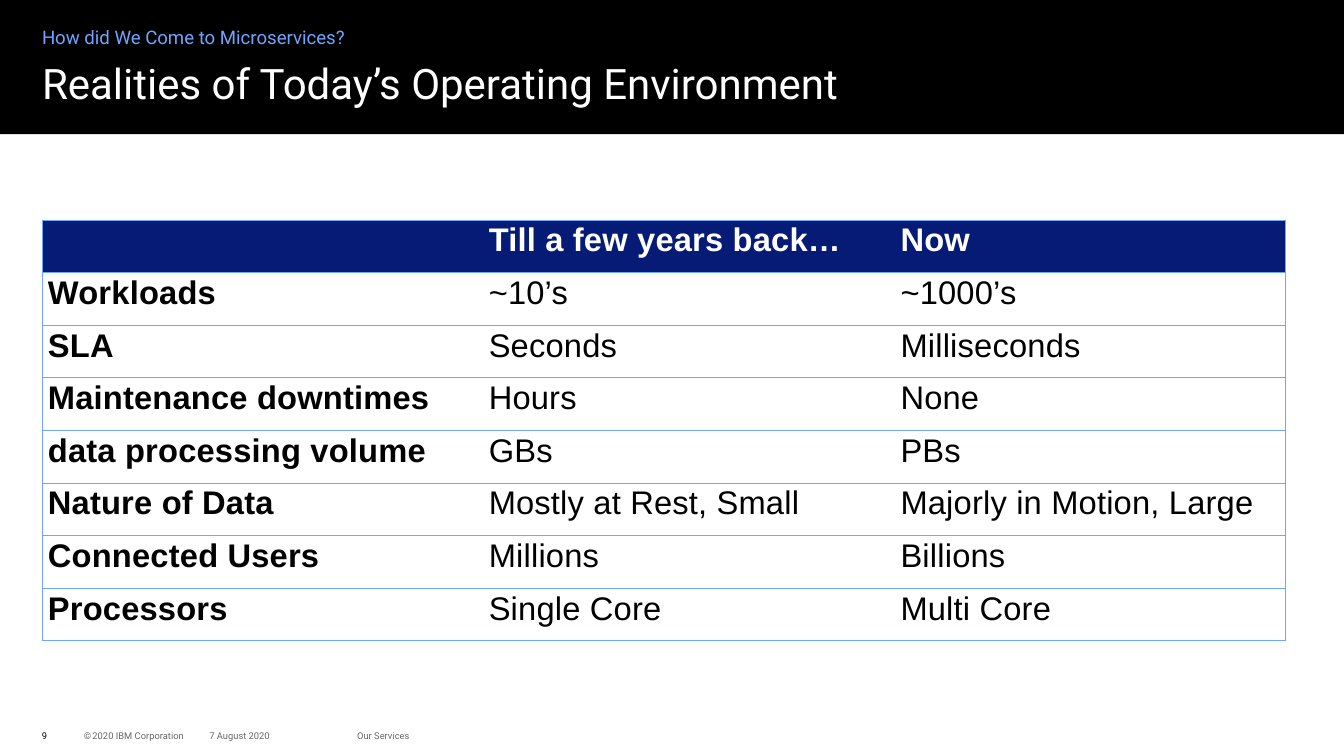
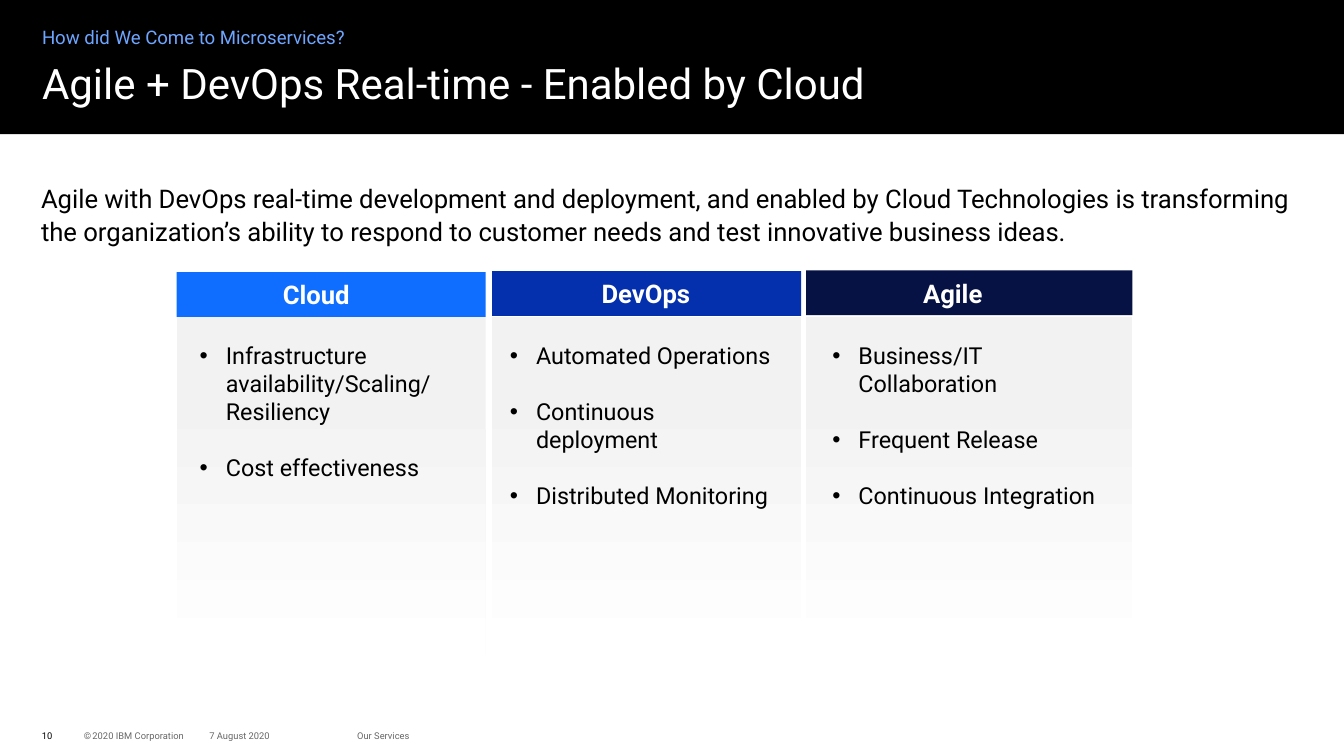
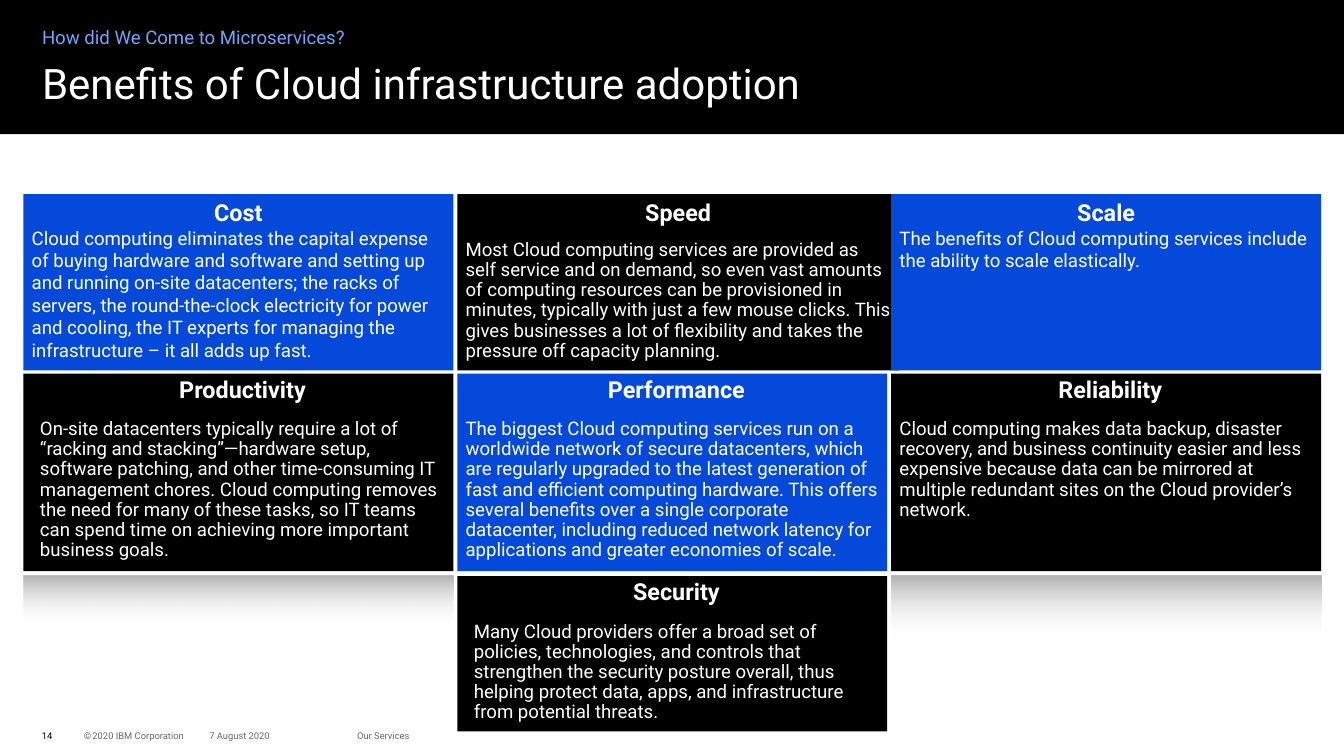
"""Build three slides on microservices, cloud and its benefits."""
from dataclasses import dataclass

from lxml.etree import SubElement
from pptx import Presentation
from pptx.dml.color import RGBColor
from pptx.enum.shapes import MSO_SHAPE
from pptx.enum.text import MSO_ANCHOR, MSO_AUTO_SIZE, PP_ALIGN
from pptx.oxml import parse_xml
from pptx.oxml.ns import nsdecls, qn
from pptx.shapes.autoshape import Shape
from pptx.slide import Slide
from pptx.text.text import TextFrame, _Paragraph
from pptx.util import Cm, Pt

COLORS = {
    "black": "000000",
    "white": "FFFFFF",
    "sky": "6EA6FF",
    "navy": "051B75",
    "blue": "0549DA",
    "cloud": "0F6DFF",
    "devops": "0530AD",
    "agile": "051243",
    "panel": "F2F2F2",
    "shade": "808080",
}
KICKER = "How did We Come to Microservices?"
INSETS = (0.25, 0.13, 0.25, 0.13)
NO_INSETS = (0, 0, 0, 0)


@dataclass(frozen=True)
class Box:
    """Position and size in centimetres."""

    left: float
    top: float
    width: float
    height: float

    @property
    def lengths(self) -> tuple[Cm, Cm, Cm, Cm]:
        return Cm(self.left), Cm(self.top), Cm(self.width), Cm(self.height)


@dataclass(frozen=True)
class Pillar:
    """Headed column with a bulleted panel."""

    title: str
    fill: str
    left: float
    top: float
    width: float
    title_shift: float
    left_inset: float
    right_inset: float
    items: tuple[str, ...]


@dataclass(frozen=True)
class Tile:
    """Benefit tile in the grid."""

    column: int
    row: int
    title: str
    fill: str
    text: str
    tight: bool = True
    margin: float = 0
    width: float = 13


@dataclass(frozen=True)
class Stop:
    """Gradient stop."""

    position: float
    color: str
    opacity: int = 100


TABLE_ROWS = (
    ("", "Till a few years back…", "Now"),
    ("Workloads", "~10’s", "~1000’s"),
    ("SLA", "Seconds", "Milliseconds"),
    ("Maintenance downtimes", "Hours", "None"),
    ("data processing volume", "GBs", "PBs"),
    ("Nature of Data", "Mostly at Rest, Small", "Majorly in Motion, Large"),
    ("Connected Users", "Millions", "Billions"),
    ("Processors", "Single Core", "Multi Core"),
)
COLUMN_WIDTHS = (13.33, 12.45, 11.81)
ROW_HEIGHT = 1.59

INTRODUCTION = (
    "Agile with DevOps real-time development and deployment, and enabled by Cloud "
    "Technologies is transforming the organization’s ability to respond to customer "
    "needs and test innovative business ideas."
)
PILLARS = (
    Pillar("Cloud", "cloud", 5.34, 8.23, 9.35, 0.9, 0.7, 1.6,
           ("Infrastructure availability/Scaling/Resiliency", "Cost effectiveness")),
    Pillar("DevOps", "devops", 14.88, 8.2, 9.35, 0.05, 0.54, 0.56,
           ("Automated Operations", "Continuous deployment", "Distributed Monitoring")),
    Pillar("Agile", "agile", 24.38, 8.18, 9.86, 1, 0.79, 0.81,
           ("Business/IT Collaboration", "Frequent Release", "Continuous Integration")),
)
PANEL_FADE = (Stop(0.22, "panel"), Stop(1, "white"))

TILES = (
    Tile(0, 0, "Cost", "blue",
         "Cloud computing eliminates the capital expense of buying hardware and software "
         "and setting up and running on-site datacenters; the racks of servers, the "
         "round-the-clock electricity for power and cooling, the IT experts for managing "
         "the infrastructure – it all adds up fast.", tight=False),
    Tile(1, 0, "Speed", "black",
         "Most Cloud computing services are provided as self service and on demand, so "
         "even vast amounts of computing resources can be provisioned in minutes, "
         "typically with just a few mouse clicks. This gives businesses a lot of "
         "flexibility and takes the pressure off capacity planning.", width=13.36),
    Tile(2, 0, "Scale", "blue",
         "The benefits of Cloud computing services include the ability to scale "
         "elastically.", tight=False),
    Tile(0, 1, "Productivity", "black",
         "On-site datacenters typically require a lot of “racking and stacking”—hardware "
         "setup, software patching, and other time-consuming IT management chores. Cloud "
         "computing removes the need for many of these tasks, so IT teams can spend time "
         "on achieving more important business goals.", margin=0.25),
    Tile(1, 1, "Performance", "blue",
         "The biggest Cloud computing services run on a worldwide network of secure "
         "datacenters, which are regularly upgraded to the latest generation of fast and "
         "efficient computing hardware. This offers several benefits over a single "
         "corporate datacenter, including reduced network latency for applications and "
         "greater economies of scale."),
    Tile(2, 1, "Reliability", "black",
         "Cloud computing makes data backup, disaster recovery, and business continuity "
         "easier and less expensive because data can be mirrored at multiple redundant "
         "sites on the Cloud provider’s network."),
    Tile(1, 2, "Security", "black",
         "Many Cloud providers offer a broad set of policies, technologies, and controls "
         "that strengthen the security posture overall, thus helping protect data, apps, "
         "and infrastructure from potential threats.", margin=0.25),
)
TILE_LEFT = 0.71
TILE_PITCH = 13.12
TILE_TOPS = (5.87, 11.3, 17.42)
TILE_HEIGHTS = (5.33, 5.97, 4.7)
TILE_FADE = (Stop(0, "shade", 61), Stop(0.55, "white", 0))
FADE_HEIGHTS = {0: 2.82, 2: 3.48}


def rgb(name: str) -> RGBColor:
    return RGBColor.from_string(COLORS[name])


def set_opacity(color_element, percent: int) -> None:
    if percent < 100:
        SubElement(color_element, qn("a:alpha")).set("val", str(percent * 1000))


def write(paragraph: _Paragraph, text: str, *, size: float, color: str = "black",
          font: str = "Roboto", bold: bool = False, opacity: int = 100,
          spacing: int = 0, alignment: PP_ALIGN = PP_ALIGN.LEFT,
          line_spacing: float = 1, before: float = 0, after: float = 0,
          margin: float = 0, bullet: str = "") -> None:
    properties = paragraph._p.get_or_add_pPr()
    properties.set("marL", str(Cm(margin)))
    properties.set("indent", str(-Cm(margin) if bullet else 0))
    if properties.find(qn("a:buNone")) is None:
        if bullet:
            SubElement(properties, qn("a:buFont")).set("typeface", "Arial")
            SubElement(properties, qn("a:buChar")).set("char", bullet)
        else:
            SubElement(properties, qn("a:buNone"))
    paragraph.alignment = alignment
    paragraph.line_spacing = line_spacing
    paragraph.space_before = Pt(before)
    paragraph.space_after = Pt(after)
    run = paragraph.add_run()
    run.text = text
    run.font.name = font
    run.font.size = Pt(size)
    run.font.bold = bold
    run.font.color.rgb = rgb(color)
    set_opacity(run._r.xpath(".//a:srgbClr")[0], opacity)
    if spacing:
        run._r.get_or_add_rPr().set("spc", str(spacing))


def prepare_frame(frame: TextFrame, insets: tuple[float, ...],
                  anchor: MSO_ANCHOR = MSO_ANCHOR.TOP) -> _Paragraph:
    frame.word_wrap = True
    frame.auto_size = MSO_AUTO_SIZE.NONE
    frame.vertical_anchor = anchor
    (frame.margin_left, frame.margin_top,
     frame.margin_right, frame.margin_bottom) = map(Cm, insets)
    return frame.paragraphs[0]


def add_rectangle(slide: Slide, box: Box, fill: str | None = None) -> Shape:
    shape = slide.shapes.add_shape(MSO_SHAPE.RECTANGLE, *box.lengths)
    shape.shadow.inherit = False
    shape.line.fill.background()
    if fill:
        shape.fill.solid()
        shape.fill.fore_color.rgb = rgb(fill)
    return shape


def add_fade(slide: Slide, box: Box, stops: tuple[Stop, ...]) -> Shape:
    shape = add_rectangle(slide, box)
    shape.fill.gradient()
    shape.fill.gradient_angle = 270
    for gradient_stop, stop in zip(shape.fill.gradient_stops, stops):
        gradient_stop.position = stop.position
        gradient_stop.color.rgb = rgb(stop.color)
    for element, stop in zip(shape.element.xpath(".//a:gs/a:srgbClr"), stops):
        set_opacity(element, stop.opacity)
    return shape


def add_footer_box(slide: Slide, left: float, width: float) -> Shape:
    return slide.shapes.add_textbox(*Box(left, 21.95, width, 0.61).lengths)


def build_master(presentation: Presentation, slide: Slide) -> None:
    shapes = [add_rectangle(slide, Box(0, 0, 40.64, 4.06), "black")]
    footers = (
        (2.54, 3.7, (("©", 8), (" ", 4), ("2020 IBM Corporation", 8))),
        (6.33, 3.81, (("7 August 2020", 8),)),
        (10.8, 6.35, (("Our Services", 8),)),
    )
    for left, width, runs in footers:
        shape = add_footer_box(slide, left, width)
        paragraph = prepare_frame(shape.text_frame, NO_INSETS, MSO_ANCHOR.MIDDLE)
        for text, size in runs:
            write(paragraph, text, size=size, opacity=60)
        shapes.append(shape)
    for identifier, shape in enumerate(shapes, 100):
        shape.element.nvSpPr.cNvPr.set("id", str(identifier))
        presentation.slide_master.shapes.element.append(shape.element)


def fill_placeholder(shape: Shape, box: Box, text: str, *,
                     insets: tuple[float, ...] = NO_INSETS, **text_format) -> None:
    shape.left, shape.top, shape.width, shape.height = box.lengths
    write(prepare_frame(shape.text_frame, insets), text, **text_format)


def add_slide(presentation: Presentation, layout: int, title: str, number: int) -> Slide:
    slide = presentation.slides.add_slide(presentation.slide_layouts[layout])
    fill_placeholder(slide.shapes.title, Box(1.27, 1.9, 38.1, 3.18), title,
                     size=36, color="white", line_spacing=0.9)
    fill_placeholder(slide.placeholders[1], Box(1.27, 0.74, 18.29, 0.76), KICKER,
                     size=16, color="sky", line_spacing=1.05)
    frame = add_footer_box(slide, 1.27, 0.91).text_frame
    write(prepare_frame(frame, NO_INSETS, MSO_ANCHOR.MIDDLE), str(number), size=8)
    return slide


def set_borders(cell, visible: dict[str, bool]) -> None:
    properties = cell._tc.get_or_add_tcPr()
    for index, (side, shown) in enumerate(visible.items()):
        paint = (f'<a:solidFill><a:srgbClr val="{COLORS["sky"]}"/></a:solidFill>'
                 if shown else "<a:noFill/>")
        properties.insert(index, parse_xml(
            f'<a:ln{side} {nsdecls("a")} w="{Pt(0.5)}">{paint}</a:ln{side}>'))


def add_comparison_table(slide: Slide) -> None:
    box = Box(1.27, 6.65, sum(COLUMN_WIDTHS), ROW_HEIGHT * len(TABLE_ROWS))
    table = slide.shapes.add_table(
        len(TABLE_ROWS), len(COLUMN_WIDTHS), *box.lengths).table
    table.horz_banding = False
    for column, width in zip(table.columns, COLUMN_WIDTHS):
        column.width = Cm(width)
    last_column = len(COLUMN_WIDTHS) - 1
    for row_index, texts in enumerate(TABLE_ROWS):
        table.rows[row_index].height = Cm(ROW_HEIGHT)
        header = row_index == 0
        for column_index, text in enumerate(texts):
            cell = table.cell(row_index, column_index)
            cell.margin_left = cell.margin_right = Cm(0.18)
            cell.margin_top = cell.margin_bottom = Cm(0)
            if header:
                cell.fill.solid()
                cell.fill.fore_color.rgb = rgb("navy")
            else:
                cell.fill.background()
            set_borders(cell, {"L": column_index == 0, "R": column_index == last_column,
                               "T": True, "B": True})
            if text:
                write(cell.text_frame.paragraphs[0], text, size=28, font="Arial",
                      color="white" if header else "black", spacing=20,
                      bold=header or column_index == 0, line_spacing=1.07)


def add_pillar(slide: Slide, pillar: Pillar) -> None:
    header = add_rectangle(
        slide, Box(pillar.left, pillar.top, pillar.width, 1.35), pillar.fill)
    paragraph = prepare_frame(
        header.text_frame, (0, 0, pillar.title_shift, 0), MSO_ANCHOR.MIDDLE)
    write(paragraph, pillar.title, size=22, color="white", bold=True,
          alignment=PP_ALIGN.CENTER)
    panel = add_fade(slide, Box(pillar.left, 9.58, pillar.width, 10.24), PANEL_FADE)
    frame = panel.text_frame
    paragraph = prepare_frame(
        frame, (pillar.left_inset, 0.74, pillar.right_inset, 0.13))
    for index, item in enumerate(pillar.items):
        if index:
            paragraph = frame.add_paragraph()
        write(paragraph, item, size=20, margin=0.79, bullet="•",
              before=24 if index else 0)


def tile_box(column: int, row: int, width: float, height: float) -> Box:
    return Box(TILE_LEFT + column * TILE_PITCH, TILE_TOPS[row], width, height)


def add_tile(slide: Slide, tile: Tile) -> None:
    box = tile_box(tile.column, tile.row, tile.width, TILE_HEIGHTS[tile.row])
    frame = add_rectangle(slide, box, tile.fill).text_frame
    lower = tile.row > 0
    write(prepare_frame(frame, INSETS), tile.title, size=20, color="white", bold=True,
          alignment=PP_ALIGN.CENTER, line_spacing=0.9 if lower else 1,
          after=2 if lower else 0, margin=0.25 if lower else 0)
    write(frame.add_paragraph(), tile.text, size=16, color="white", margin=tile.margin,
          line_spacing=0.9 if tile.tight else 1, before=12 if tile.tight else 0)


def main() -> None:
    presentation = Presentation()
    presentation.slide_width, presentation.slide_height = Cm(40.64), Cm(22.86)

    slide = add_slide(presentation, 1, "Realities of Today’s Operating Environment", 9)
    build_master(presentation, slide)
    add_comparison_table(slide)

    slide = add_slide(presentation, 3, "Agile + DevOps Real-time - Enabled by Cloud", 10)
    fill_placeholder(slide.placeholders[2], Box(1.24, 4.85, 38.1, 3.18), INTRODUCTION,
                     insets=(0, 0.64, 0, 0), size=22, line_spacing=1.05)
    for pillar in PILLARS:
        add_pillar(slide, pillar)

    slide = add_slide(presentation, 1, "Benefits of Cloud infrastructure adoption", 14)
    for column, height in FADE_HEIGHTS.items():
        add_fade(slide, tile_box(column, 2, 13, height), TILE_FADE)
    for tile in TILES:
        add_tile(slide, tile)

    presentation.save("out.pptx")


if __name__ == "__main__":
    main()
